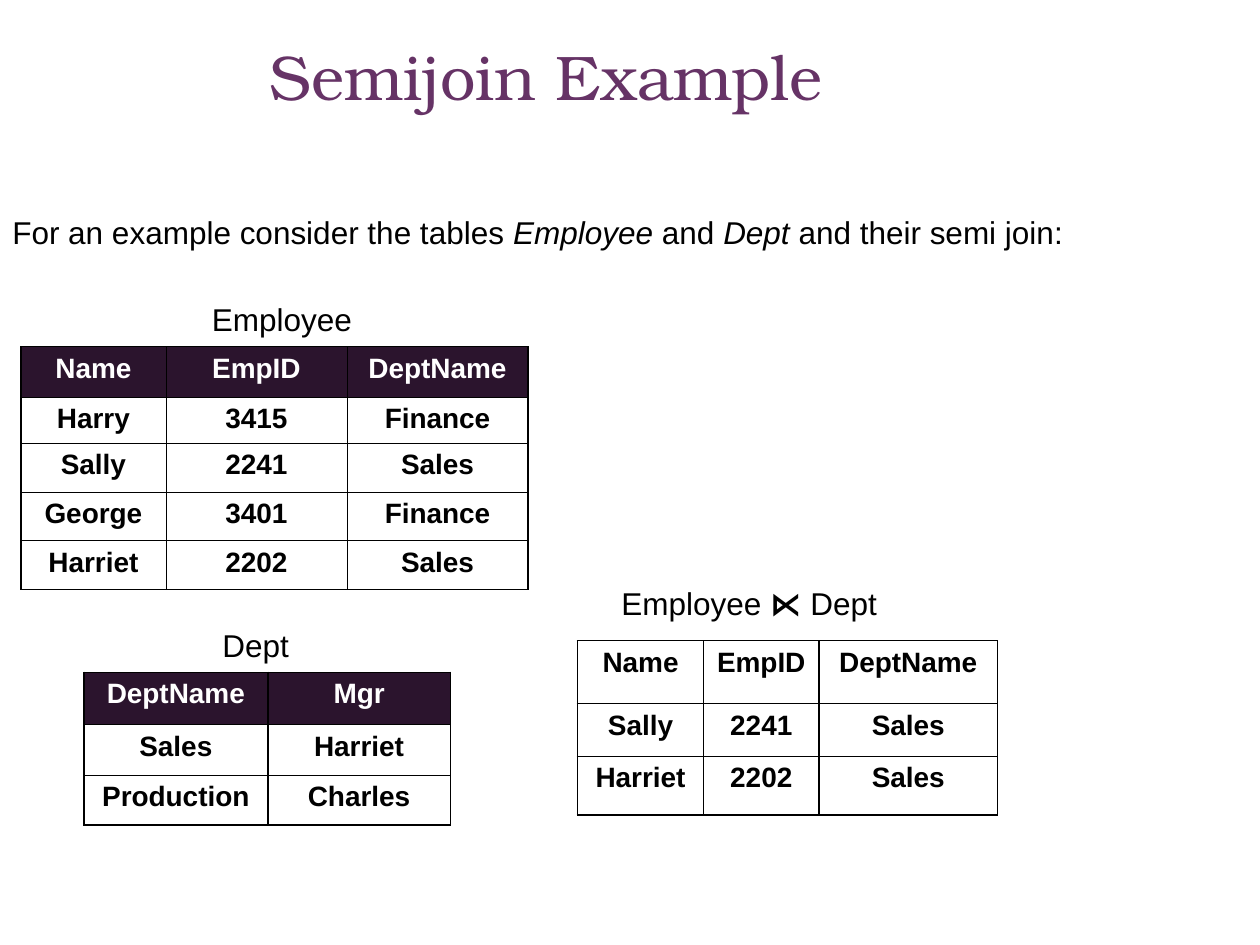
from dataclasses import dataclass

from lxml.etree import SubElement
from pptx import Presentation
from pptx.dml.color import RGBColor
from pptx.enum.text import MSO_ANCHOR, PP_ALIGN
from pptx.oxml.ns import qn
from pptx.util import Inches, Pt


@dataclass(frozen=True)
class Theme:
    title_color: str = "663366"
    header_fill: str = "2B142D"
    text: str = "000000"
    inverse: str = "FFFFFF"
    title_font: str = "TeX Gyre Bonum"
    body_font: str = "Arial"
    title_size: int = 36
    body_size: int = 18
    table_size: int = 16
    thin: float = 0.45
    thick: float = 1.08


THEME = Theme()
COLUMNS_PER_INCH = 12


def grid(units):
    return Inches(units / COLUMNS_PER_INCH)


def write_text(frame, runs, size=THEME.body_size, color=THEME.text,
               font=THEME.body_font, bold=False, align=PP_ALIGN.LEFT, wrap=True):
    frame.word_wrap = wrap
    paragraph = frame.paragraphs[0]
    paragraph.alignment = align
    for text, emphasis in runs:
        run = paragraph.add_run()
        run.text = text
        run.font.name = font
        run.font.size = Pt(size)
        run.font.color.rgb = RGBColor.from_string(color)
        run.font.bold = bold or emphasis == "bold"
        run.font.italic = emphasis == "italic"


def add_text(slide, box, runs, **text_format):
    shape = slide.shapes.add_textbox(*map(grid, box))
    shape.text_frame.vertical_anchor = MSO_ANCHOR.TOP
    write_text(shape.text_frame, runs, **text_format)
    return shape


def set_borders(cell, widths):
    properties = cell._tc.get_or_add_tcPr()
    for position, (side, width) in enumerate(widths.items()):
        line = properties.makeelement(qn(f"a:{side}"), {"w": str(int(Pt(width)))})
        fill = SubElement(line, qn("a:solidFill"))
        SubElement(fill, qn("a:srgbClr"), val=THEME.text)
        properties.insert(position, line)


def add_relation(slide, origin, column_widths, row_heights, records,
                 dark_header=True, thick_dividers=True):
    left, top = origin
    frame = slide.shapes.add_table(
        len(row_heights), len(column_widths), grid(left), grid(top),
        grid(sum(column_widths)), grid(sum(row_heights)))
    table = frame.table
    table.first_row = table.horz_banding = False
    for column, width in zip(table.columns, column_widths):
        column.width = grid(width)
    for row, height in zip(table.rows, row_heights):
        row.height = grid(height)

    last_row, last_column = len(row_heights) - 1, len(column_widths) - 1
    for row, record in enumerate(records):
        for column, value in enumerate(record):
            cell = table.cell(row, column)
            header = dark_header and row == 0
            if header:
                cell.fill.solid()
                cell.fill.fore_color.rgb = RGBColor.from_string(THEME.header_fill)
            else:
                cell.fill.background()
            write_text(cell.text_frame, [(value, None)], size=THEME.table_size,
                       color=THEME.inverse if header else THEME.text,
                       bold=True, align=PP_ALIGN.CENTER)
            thick = {
                "lnL": thick_dividers or column == 0,
                "lnR": thick_dividers or column == last_column,
                "lnT": False,
                "lnB": row == last_row,
            }
            set_borders(cell, {side: THEME.thick if heavy else THEME.thin
                               for side, heavy in thick.items()})


def add_heading(slide, title_box, intro_box):
    add_text(slide, title_box, [("Semijoin Example", None)], size=THEME.title_size,
             color=THEME.title_color, font=THEME.title_font, align=PP_ALIGN.CENTER)
    add_text(slide, intro_box, [
        ("For an example consider the tables ", None), ("Employee", "italic"),
        (" and ", None), ("Dept", "italic"), (" and their semi join:", None),
    ], wrap=False)


def add_employee(slide, label_box, origin):
    add_text(slide, label_box, [("Employee", None)], wrap=False)
    add_relation(slide, origin, [13.8, 17.25, 17.25], [4.8, 4.2, 4.65, 4.65, 4.65], [
        ("Name", "EmpID", "DeptName"),
        ("Harry", "3415", "Finance"),
        ("Sally", "2241", "Sales"),
        ("George", "3401", "Finance"),
        ("Harriet", "2202", "Sales"),
    ], thick_dividers=False)


def add_department(slide, label_box, origin):
    add_text(slide, label_box, [("Dept", None)])
    add_relation(slide, origin, [17.5, 17.4], [5, 4.8, 4.8], [
        ("DeptName", "Mgr"),
        ("Sales", "Harriet"),
        ("Production", "Charles"),
    ])


def add_semijoin(slide, label_box, origin):
    add_text(slide, label_box, [("Employee ", None), ("⋉", "bold"), (" Dept", None)])
    add_relation(slide, origin, [12, 11, 17], [6, 5, 5.6], [
        ("Name", "EmpID", "DeptName"),
        ("Sally", "2241", "Sales"),
        ("Harriet", "2202", "Sales"),
    ], dark_header=False)


def main():
    presentation = Presentation()
    presentation.slide_width = Inches(10)
    presentation.slide_height = Inches(7.5)
    slide = presentation.slides.add_slide(presentation.slide_layouts[6])
    add_heading(slide, (3, 3, 98, 15), (0, 19.7, 102.5, 4.8))
    add_employee(slide, (19, 28, 15.7, 4.8), (2, 33))
    add_department(slide, (20, 59, 19, 4.8), (8, 64))
    add_semijoin(slide, (58, 55, 36, 4.8), (55, 61))
    presentation.save("out.pptx")


if __name__ == "__main__":
    main()
